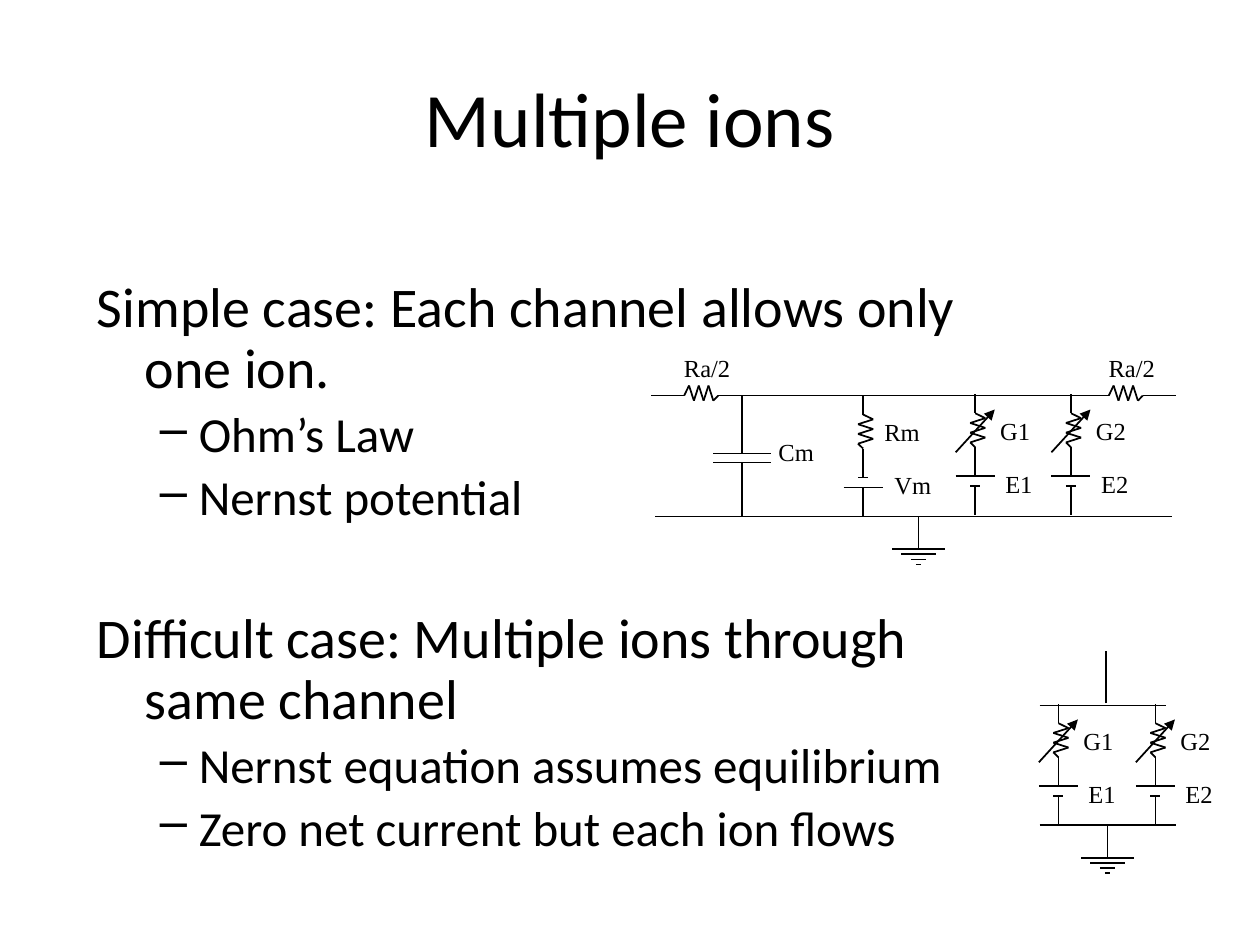
from dataclasses import dataclass

import lxml.etree
import pptx
import pptx.dml.color
import pptx.enum.shapes
import pptx.enum.text
import pptx.oxml.ns
import pptx.util
from pptx.util import Inches

qn = pptx.oxml.ns.qn
PP_ALIGN = pptx.enum.text.PP_ALIGN


@dataclass(frozen=True)
class Theme:
    ink: pptx.dml.color.RGBColor = pptx.dml.color.RGBColor(0, 0, 0)
    font: str = "Calibri"
    label_font: str = "Times New Roman"
    title: int = 44
    body: int = 32
    sub: int = 28
    label: int = 14
    line: float = 1


@dataclass(frozen=True)
class Item:
    text: str
    level: int = 0
    before: float = 5.6


@dataclass(frozen=True)
class Branch:
    """A resistor and a battery in series, hanging from the rail at (x, y)."""
    x: float
    y: float
    resistor: str
    battery: str
    gated: bool = True  # variable conductance, with the long plate on top
    widths: tuple[float, float] = (0.44, 0.42)
    label_dx: tuple[float, float] = (0.1, 0.14)


THEME = Theme()

ITEMS = [
    Item("Simple case: Each channel allows only one ion.", before=0),
    Item("Ohm’s Law", 1),
    Item("Nernst potential", 1),
    Item("Difficult case: Multiple ions through same channel", before=48),
    Item("Nernst equation assumes equilibrium", 1),
    Item("Zero net current but each ion flows", 1),
]

MEMBRANE = [
    Branch(6.85, 3.14, "Rm", "Vm", False, (0.48, 0.49), (0.07, 0.15)),
    Branch(7.74, 3.13, "G1", "E1"),
    Branch(8.5, 3.13, "G2", "E2"),
]
CHANNEL = [Branch(8.4, 5.59, "G1", "E1"), Branch(9.17, 5.59, "G2", "E2")]


def style(p, size: int, font: str = THEME.font) -> None:
    for r in p.runs:
        r.font.size = pptx.util.Pt(size)
        r.font.name = font
        r.font.color.rgb = THEME.ink


def line(shapes, x1: float, y1: float, x2: float, y2: float, arrow: bool = False) -> None:
    c = shapes.add_connector(pptx.enum.shapes.MSO_CONNECTOR.STRAIGHT,
                             Inches(x1), Inches(y1), Inches(x2), Inches(y2))
    c.line.color.rgb = THEME.ink
    c.line.width = pptx.util.Pt(THEME.line)
    if arrow:
        lxml.etree.SubElement(c.line._get_or_add_ln(), qn("a:tailEnd"), type="triangle")
    lxml.etree.SubElement(c._element.spPr, qn("a:effectLst"))


def bar(shapes, x: float, y: float, half: float) -> None:
    line(shapes, x - half, y, x + half, y)


def label(shapes, text: str, x: float, y: float, width: float) -> None:
    sp = shapes.add_textbox(Inches(x), Inches(y), Inches(width), Inches(0.33))
    tf = sp.text_frame
    tf.text = text
    tf.word_wrap = False
    tf.auto_size = pptx.enum.text.MSO_AUTO_SIZE.SHAPE_TO_FIT_TEXT
    style(tf.paragraphs[0], THEME.label, THEME.label_font)


def resistor(shapes, x: float, y: float, vertical: bool) -> None:
    """Seven zigzag strokes over 0.27 in."""
    across = [0] + [0.08, -0.04] * 3 + [0]
    along = [0.27 * i / 7 for i in range(8)]
    if vertical:
        pts = [(x + a, y + d) for a, d in zip(across, along)]
    else:
        pts = [(x + d, y - a) for a, d in zip(across, along)]
    for start, end in zip(pts, pts[1:]):
        line(shapes, *start, *end)


def branch(shapes, b: Branch) -> None:
    x, y = b.x, b.y
    for top, bottom in ((0, 0.15), (0.42, 0.65), (0.73, 0.96)):
        line(shapes, x, y + top, x, y + bottom)
    resistor(shapes, x, y + 0.15, True)
    upper, lower = (0.155, 0.04) if b.gated else (0.04, 0.155)
    bar(shapes, x, y + 0.65, upper)
    bar(shapes, x, y + 0.73, lower)
    label(shapes, b.resistor, x + b.label_dx[0], y + 0.12, b.widths[0])
    label(shapes, b.battery, x + b.label_dx[1], y + 0.54, b.widths[1])
    if b.gated:
        line(shapes, x - 0.155, y + 0.46, x + 0.155, y + 0.12, arrow=True)


def ground(shapes, x: float, y: float) -> None:
    line(shapes, x, y, x, y + 0.26)
    for i, half in enumerate((0.21, 0.135, 0.06, 0.02)):
        bar(shapes, x, y + 0.26 + 0.04 * i, half)


def add_title(s) -> None:
    sp = s.shapes.add_textbox(Inches(0.5), Inches(0.3), Inches(9), Inches(1.25))
    tf = sp.text_frame
    tf.word_wrap = True
    tf.vertical_anchor = pptx.enum.text.MSO_ANCHOR.MIDDLE
    tf.text = "Multiple ions"
    p = tf.paragraphs[0]
    p.alignment = PP_ALIGN.CENTER
    style(p, THEME.title)


def add_body(s) -> None:
    sp = s.shapes.add_textbox(Inches(0.67), Inches(2.17), Inches(7.64), Inches(5))
    tf = sp.text_frame
    tf.word_wrap = True
    for i, item in enumerate(ITEMS):
        p = tf.add_paragraph() if i else tf.paragraphs[0]
        p.text = item.text
        p.level = item.level
        p.line_spacing = 0.9
        p.space_before = pptx.util.Pt(item.before)
        left, hang = (0.81, -0.31) if item.level else (0.38, -0.38)
        pPr = p._p.get_or_add_pPr()
        pPr.set("marL", str(Inches(left)))
        pPr.set("indent", str(Inches(hang)))
        if item.level:
            lxml.etree.SubElement(pPr, qn("a:buChar"), char="–")
        else:
            lxml.etree.SubElement(pPr, qn("a:buNone"))
        style(p, THEME.sub if item.level else THEME.body)


def add_membrane_circuit(s) -> None:
    shapes = s.shapes.add_group_shape().shapes
    top, bottom = 3.14, 4.1
    # Rails and axial resistors
    for x1, x2 in ((5.17, 5.43), (5.7, 8.8), (9.07, 9.33)):
        line(shapes, x1, top, x2, top)
    line(shapes, 5.2, bottom, 9.3, bottom)
    for x in (5.43, 8.8):
        resistor(shapes, x, top, False)
        label(shapes, "Ra/2", x - 0.1, 2.75, 0.57)
    # Capacitor
    x = 5.89
    line(shapes, x, top, x, 3.6)
    bar(shapes, x, 3.6, 0.23)
    bar(shapes, x, 3.67, 0.23)
    line(shapes, x, 3.67, x, bottom)
    label(shapes, "Cm", 6.08, 3.42, 0.48)
    # Leak and ion channels
    for b in MEMBRANE:
        branch(shapes, b)
    ground(shapes, 7.29, bottom)


def add_channel_circuit(s) -> None:
    shapes = s.shapes.add_group_shape().shapes
    line(shapes, 8.78, 5.58, 8.78, 5.17)
    line(shapes, 8.25, 5.6, 9.25, 5.6)
    line(shapes, 8.25, 6.55, 9.33, 6.55)
    for b in CHANNEL:
        branch(shapes, b)
    ground(shapes, 8.79, 6.55)


def main() -> None:
    prs = pptx.Presentation()
    prs.slide_width, prs.slide_height = Inches(10), Inches(7.5)
    s = prs.slides.add_slide(prs.slide_layouts[6])
    add_title(s)
    add_body(s)
    add_membrane_circuit(s)
    add_channel_circuit(s)
    prs.save("out.pptx")


if __name__ == "__main__":
    main()
